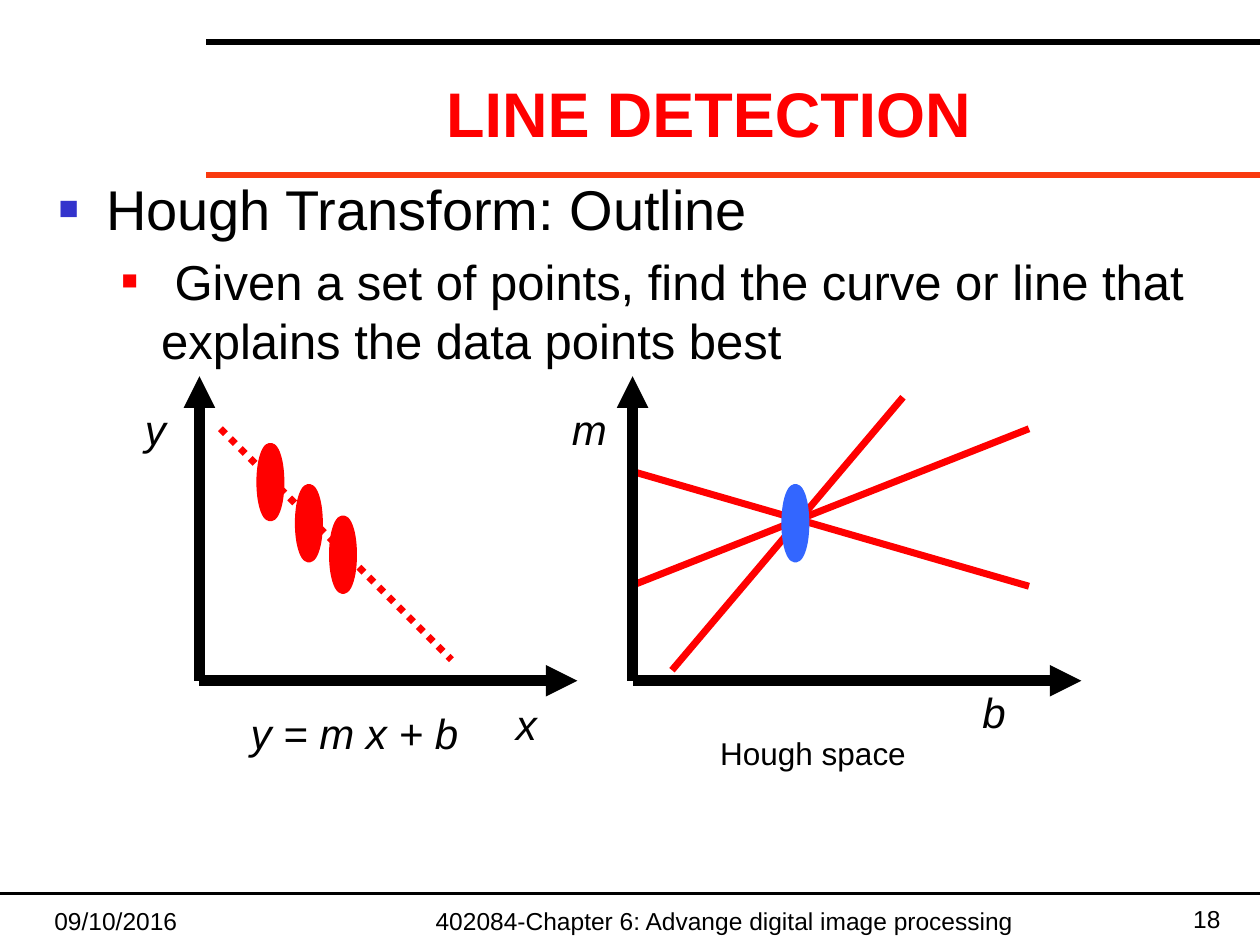
from lxml.etree import SubElement as Sub
from pptx import Presentation
from pptx.dml.color import RGBColor
from pptx.enum.dml import MSO_LINE as Dash
from pptx.enum.shapes import MSO_CONNECTOR as Conn, MSO_SHAPE as Shape
from pptx.enum.text import MSO_ANCHOR as Anchor, PP_ALIGN as Align
from pptx.oxml.ns import qn
from pptx.util import Pt

# Content: lengths in points
BLACK, RED, BLUE = "000000", "FF0000", "3366FF"
TITLE = "LINE DETECTION"
# text, size, left margin, hang, bullet colour, bullet percent
BODY = [
    ("Hough Transform: Outline", 32, 27, 27, "3333CC", 60),
    (" Given a set of points, find the curve or line that explains "
     "the data points best", 28, 58.5, 22.5, RED, 55),
]
# text, box, alignment
FOOT = [
    ("09/10/2016", (24, 502, 150, 36), Align.LEFT),
    ("18", (554.5, 501, 150, 36), Align.RIGHT),
    ("402084-Chapter 6: Advange digital image processing",
     (210, 502, 408, 36), Align.CENTER),
]
# from x, from y, to x, to y, colour, width
RULES = [
    (118, 100, 720, 100, "F93A0F", 3.5),
    (118, 24, 720, 24, BLACK, 3.5),
    (0, 510.5, 720, 510.5, BLACK, 2),
]
FIT = (126, 245, 258, 377)
VOTES = [(384, 383, 516, 227), (360, 335, 588, 245), (360, 269, 588, 335)]
# Plots: origin x and right end; they share base and top
PLOTS = [(114, 330), (361.5, 618)]
BASE, TOP = 389, 215
# left, top, colour
DOTS = [(448.5, 278.5, BLUE), (190, 296.5, RED),
        (148.5, 255, RED), (170.5, 278.5, RED)]
DOT_W, DOT_H = 12, 41
# text, left, top, width
LABELS = [("x", 287.5, 395.5, 26.5), ("y", 75.5, 227, 26.5),
          ("b", 553.5, 389, 29), ("m", 319, 227, 35.5),
          ("y = m x + b", 135.5, 401, 134)]

prs = Presentation()
prs.slide_width, prs.slide_height = Pt(720), Pt(540)
slide = prs.slides.add_slide(prs.slide_layouts[5])
shapes = slide.shapes


def rgb(code):
    return RGBColor.from_string(code)


def style(para, size, color=BLACK, align=Align.LEFT, bold=False, italic=False):
    font = para.font
    font.name, font.size = "Arial", Pt(size)
    font.bold, font.italic = bold, italic
    font.color.rgb = rgb(color)
    para.alignment = align


def text(words, box, size, align=Align.LEFT, wrap=True, anchor=Anchor.TOP,
         italic=False):
    frame = shapes.add_textbox(*map(Pt, box)).text_frame
    frame.word_wrap, frame.vertical_anchor = wrap, anchor
    frame.text = words
    style(frame.paragraphs[0], size, align=align, italic=italic)


def line(x1, y1, x2, y2, color, width, dash=None, arrow=False):
    conn = shapes.add_connector(Conn.STRAIGHT, *map(Pt, (x1, y1, x2, y2)))
    conn.line.color.rgb, conn.line.width = rgb(color), Pt(width)
    if dash:
        conn.line.dash_style = dash
    if arrow:
        Sub(conn.line._get_or_add_ln(), qn("a:tailEnd"), type="triangle")
    Sub(conn._element.spPr, qn("a:effectLst"))


def bullet(para, left, hang, color, pct):
    props = para._p.get_or_add_pPr()
    props.set("marL", str(Pt(left)))
    props.set("indent", str(-Pt(hang)))
    Sub(Sub(props, qn("a:buClr")), qn("a:srgbClr"), val=color)
    Sub(props, qn("a:buSzPct"), val=str(pct * 1000))
    Sub(props, qn("a:buFont"), typeface="Arial")
    Sub(props, qn("a:buChar"), char="■")


# Rules and title
for rule in RULES:
    line(*rule)
title = shapes.title
title.left, title.top, title.width, title.height = map(Pt, (104, 11.5, 602, 78))
title.text_frame.text = TITLE
title.text_frame.vertical_anchor = Anchor.BOTTOM
style(title.text_frame.paragraphs[0], 36, RED, Align.CENTER, bold=True)

# Footer
for words, box, align in FOOT:
    text(words, box, 14, align, anchor=Anchor.BOTTOM)

# Body
frame = shapes.add_textbox(*map(Pt, (26.5, 96, 681, 363))).text_frame
frame.word_wrap = True
for i, (words, size, left, hang, color, pct) in enumerate(BODY):
    para = frame.add_paragraph() if i else frame.paragraphs[0]
    para.text, para.level = words, i
    para.space_before = Pt(size * 0.2)
    style(para, size)
    bullet(para, left, hang, color, pct)

# Plots
line(*FIT, RED, 4, dash=Dash.ROUND_DOT)
for vote in VOTES:
    line(*vote, RED, 4)
for x, right in PLOTS:
    line(x, BASE, x, TOP, BLACK, 6, arrow=True)
    line(x, BASE, right, BASE, BLACK, 6, arrow=True)
for x, y, color in DOTS:
    dot = shapes.add_shape(Shape.OVAL, *map(Pt, (x, y, DOT_W, DOT_H)))
    dot.shadow.inherit = False
    dot.fill.solid()
    dot.fill.fore_color.rgb = dot.line.color.rgb = rgb(color)
    dot.line.width = Pt(4)

# Plot labels
for words, x, y, width in LABELS:
    text(words, (x, y, width, 36), 24, Align.CENTER, wrap=False, italic=True)
text("Hough space", (404.5, 416, 122.5, 29), 18, wrap=False)

prs.save("out.pptx")
